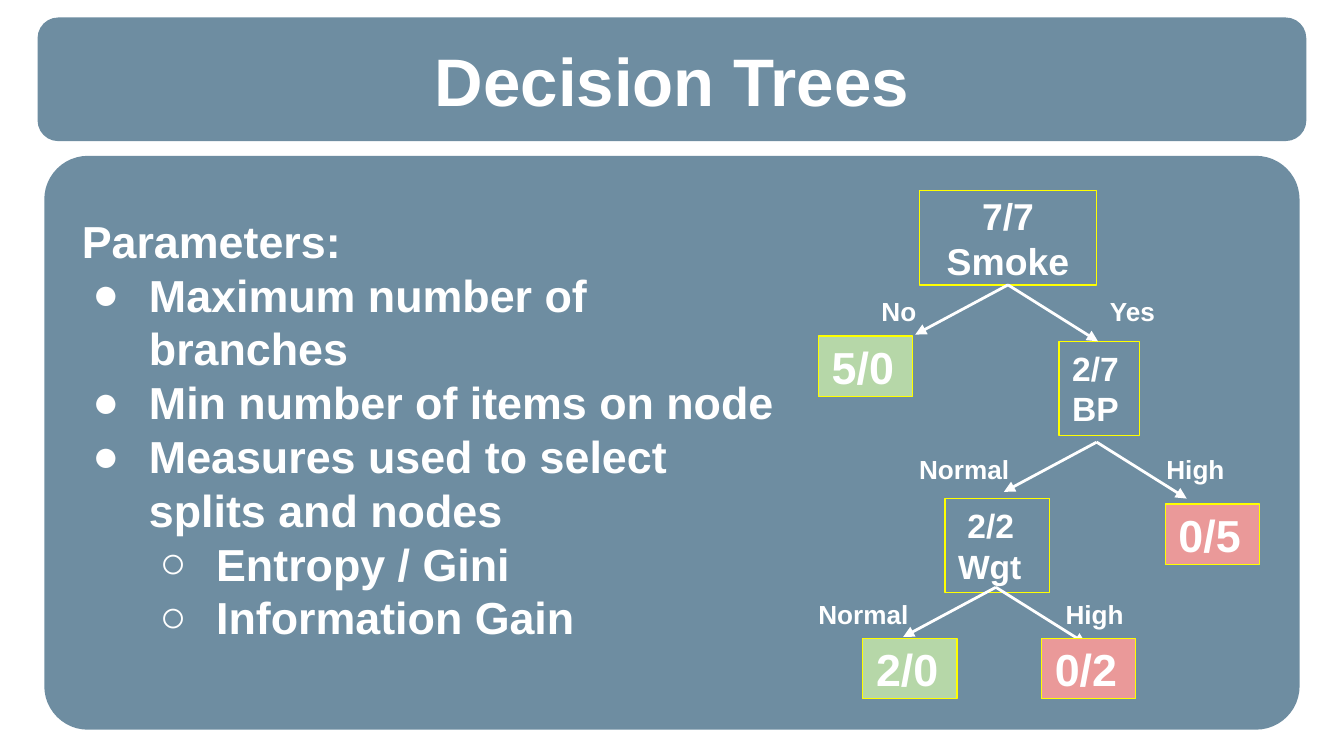
from lxml import etree
from pptx import Presentation
from pptx.dml.color import RGBColor
from pptx.enum.shapes import MSO_CONNECTOR, MSO_SHAPE
from pptx.enum.text import MSO_ANCHOR, PP_ALIGN
from pptx.oxml.ns import qn
from pptx.util import Inches, Pt

RECT, ROUND = MSO_SHAPE.RECTANGLE, MSO_SHAPE.ROUNDED_RECTANGLE
LINE = MSO_CONNECTOR.STRAIGHT
TOP, MIDDLE = MSO_ANCHOR.TOP, MSO_ANCHOR.MIDDLE
LEFT, CENTER = PP_ALIGN.LEFT, PP_ALIGN.CENTER
WHITE, BLUE, YELLOW = "FFFFFF", "215170", "FFFF00"
GREEN, RED = "B6D7A8", "EA9999"
WIDE = Inches(10)

FRAME = {"word_wrap": True, **{f"margin_{side}": Inches(0.1)
         for side in ("left", "right", "top", "bottom")}}
FONT = {"name": "Arial", "bold": True}

PARAMS = [
    ("Parameters:", None),
    ("Maximum number of branches", 0),
    ("Min number of items on node", 0),
    ("Measures used to select splits and nodes", 0),
    ("Entropy / Gini", 1),
    ("Information Gain", 1),
]
# Lines, text size, alignment, place
TESTS = [
    (["7/7", "Smoke"], 20, CENTER, (6.84, 1.42, 1.32, 0.7)),
    (["2/7", "BP"], 18, LEFT, (7.88, 2.54, 0.6, 0.7)),
    ([" 2/2", "Wgt"], 18, LEFT, (7.03, 3.71, 0.78, 0.7)),
]
# Apex, then text and width of each label, then gap before the right one
SPLITS = [
    (7.5, 2.12, ("No", 0.6), ("Yes", 0.6), 0.66),
    (8.16, 3.29, ("Normal", 0.98), ("High", 0.78), 0.42),
    (7.41, 4.37, ("Normal", 0.98), ("High", 0.78), 0.42),
]
LEAVES = [
    ("5/0", GREEN, 6.09, 2.5),
    ("0/5", RED, 8.67, 3.75),
    ("2/0", GREEN, 6.42, 4.75),
    ("0/2", RED, 7.75, 4.75),
]


def color(code):
    return RGBColor.from_string(code)


def apply(item, values):
    for name, value in values.items():
        setattr(item, name, value)


def write(frame, lines, size, align=LEFT, anchor=TOP):
    apply(frame, {**FRAME, "vertical_anchor": anchor})
    for i, line in enumerate(lines):
        para = frame.add_paragraph() if i else frame.paragraphs[0]
        para.alignment = align
        run = para.add_run()
        run.text = line
        apply(run.font, {**FONT, "size": Pt(size)})
        run.font.color.rgb = color(WHITE)


def add_box(slide, kind, place, fill=None, line=None):
    box = slide.shapes.add_shape(kind, *map(Inches, place))
    box.shadow.inherit = False
    if fill:
        box.fill.solid()
        box.fill.fore_color.rgb = color(fill)
    else:
        box.fill.background()
    if line:
        box.line.color.rgb = color(line)
        box.line.width = Pt(0.75)
    else:
        box.line.fill.background()
    return box


def add_panel(slide, place, bend):
    panel = add_box(slide, ROUND, place, BLUE)
    panel.adjustments[0] = bend
    tint = next(panel._element.spPr.iter(qn("a:srgbClr")))
    etree.SubElement(tint, qn("a:alpha"), val="65000")


def add_text(slide, lines, size, place):
    box = slide.shapes.add_textbox(*map(Inches, place))
    write(box.text_frame, lines, size)
    return box.text_frame


def add_bullet(para, level):
    para.level = level
    props = para._p.get_or_add_pPr()
    props.set("marL", str(Inches(0.5 * (level + 1))))
    props.set("indent", str(Inches(-0.42)))
    tint = etree.SubElement(props, qn("a:buClr"))
    etree.SubElement(tint, qn("a:srgbClr"), val=WHITE)
    etree.SubElement(props, qn("a:buFont"), typeface="Arial")
    etree.SubElement(props, qn("a:buChar"), char="●○"[level])


def add_node(slide, lines, size, align, place, fill=None):
    box = add_box(slide, RECT, place, fill, YELLOW)
    write(box.text_frame, lines, size, align, MIDDLE)


def add_arrow(slide, start, end):
    arrow = slide.shapes.add_connector(LINE, *map(Inches, start + end))
    arrow.line.color.rgb = color(WHITE)
    arrow.line.width = Pt(1.5)
    props = arrow._element.spPr
    etree.SubElement(props.find(qn("a:ln")), qn("a:tailEnd"), type="triangle")
    etree.SubElement(props, qn("a:effectLst"))


def add_split(slide, x, y, left, right, gap):
    """Draw two arrows from one apex, with a label beside each."""
    for dx, dy in ((-0.69, 0.37), (0.67, 0.42)):
        add_arrow(slide, (x, y), (x + dx, y + dy))
    for (text, width), start in ((left, x - 0.44 - left[1]), (right, x + gap)):
        add_text(slide, [text], 14, (start, y - 0.02, width, 0.42))


def add_title(slide, text):
    title = slide.shapes.title
    apply(title, {"left": Inches(0.33), "top": Inches(0.29),
                  "width": Inches(9.34), "height": Inches(0.6)})
    write(title.text_frame, [text], 36, CENTER, MIDDLE)


def main():
    deck = Presentation()
    apply(deck, {"slide_width": WIDE, "slide_height": WIDE * 9 // 16})
    slide = deck.slides.add_slide(deck.slide_layouts[5])
    add_panel(slide, (0.28, 0.13, 9.44, 0.92), 0.167)
    add_panel(slide, (0.33, 1.16, 9.34, 4.27), 0.076)
    # The panels go behind the title
    slide.shapes._spTree.append(slide.shapes.title._element)
    add_title(slide, "Decision Trees")
    frame = add_text(slide, [text for text, _ in PARAMS], 24,
                     (0.51, 1.49, 5.45, 3.46))
    for para, (_, level) in zip(frame.paragraphs, PARAMS):
        if level is not None:
            add_bullet(para, level)
    for test in TESTS:
        add_node(slide, *test)
    for split in SPLITS:
        add_split(slide, *split)
    for text, fill, x, y in LEAVES:
        add_node(slide, [text], 24, LEFT, (x, y, 0.7, 0.45), fill)
    deck.save("out.pptx")


if __name__ == "__main__":
    main()
